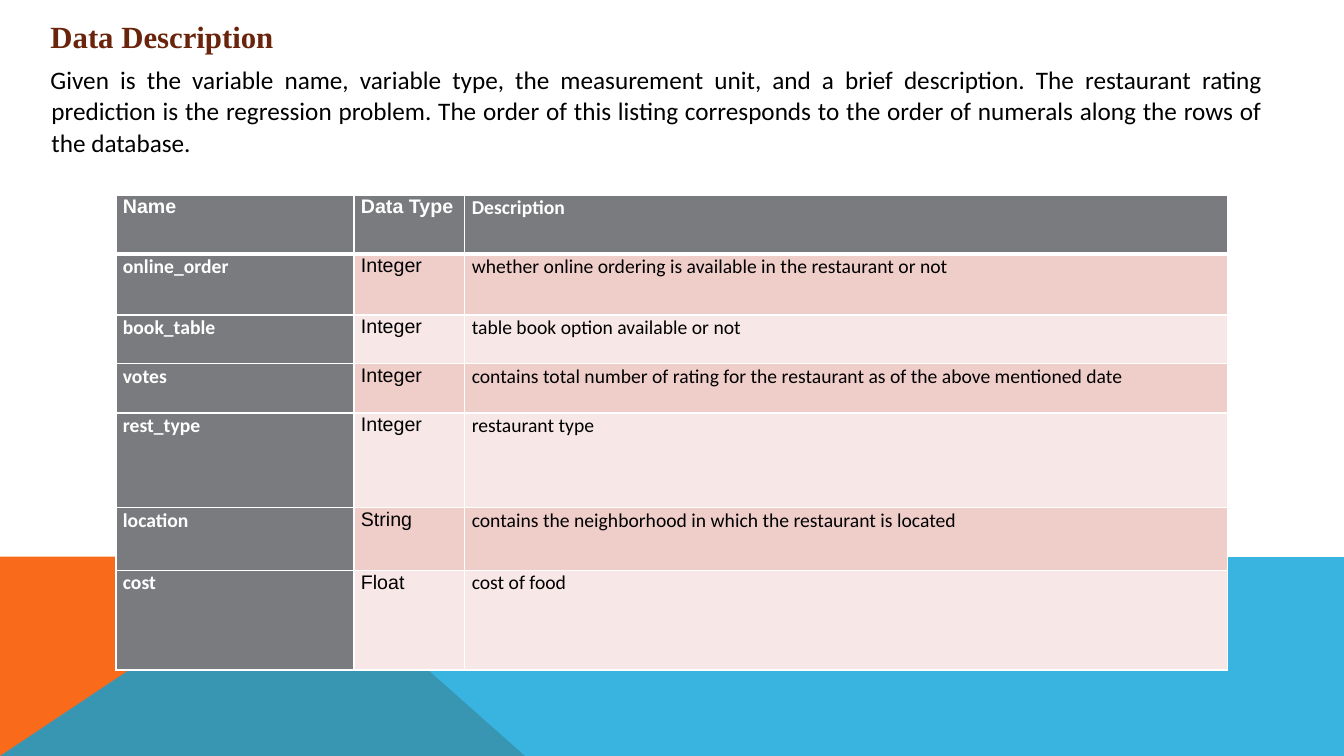
"""Build the Data Description slide with its variable table."""
from lxml import etree
from pptx import Presentation
from pptx.dml.color import RGBColor
from pptx.enum.text import PP_ALIGN
from pptx.oxml.ns import qn
from pptx.util import Pt

JUSTIFY = PP_ALIGN.JUSTIFY
LEFT = PP_ALIGN.LEFT
WHITE, BLACK, GRAY = "FFFFFF", "000000", "797B7E"
BANDS = ["EFCECA", "F7E8E7"]


def color(hex_string):
    return RGBColor.from_string(hex_string)


def write(paragraph, text, size, font, hex_string, bold, alignment):
    paragraph.alignment = alignment
    paragraph.line_spacing = 1.03
    properties = paragraph._p.get_or_add_pPr()
    properties.set("marL", str(Pt(0.7)))
    properties.set("indent", str(Pt(-0.7)))
    run = paragraph.add_run()
    run.text = text
    run.font.size = Pt(size)
    run.font.name = font
    run.font.bold = bold
    run.font.color.rgb = color(hex_string)


presentation = Presentation()
presentation.slide_width = Pt(960)
presentation.slide_height = Pt(540)
slide = presentation.slides.add_slide(presentation.slide_layouts[6])

background_shapes = [
    ("F96A1B", 100, [(0, 540), (0, 397.5), (214.5, 397.5), (375, 540)]),
    ("08A1D9", 80, [(0, 540), (214, 397.5), (960, 398), (960, 540)]),
]
for fill, opacity, points in background_shapes:
    corners = [(Pt(x), Pt(y)) for x, y in points]
    builder = slide.shapes.build_freeform(*corners[0], scale=1.0)
    builder.add_line_segments(corners[1:], close=True)
    shape = builder.convert_to_shape()
    shape.shadow.inherit = False
    shape.line.fill.background()
    shape.fill.solid()
    shape.fill.fore_color.rgb = color(fill)
    if opacity < 100:
        fill_color = shape._element.spPr.find(qn("a:solidFill"))[0]
        etree.SubElement(fill_color, qn("a:alpha"), val=str(opacity * 1000))

rows = [
    ("Name", "Data Type", "Description"),
    ("online_order", "Integer", "whether online ordering is available in the restaurant or not"),
    ("book_table", "Integer", "table book option available or not"),
    ("votes", "Integer", "contains total number of rating for the restaurant as of the above mentioned date"),
    ("rest_type", "Integer", "restaurant type"),
    ("location", "String", "contains the neighborhood in which the restaurant is located"),
    ("cost", "Float", "cost of food"),
]
column_widths = [170, 79.2, 544.8]
row_heights = [41.8, 43.7, 34.8, 35.3, 67.7, 44.9, 71]
table = slide.shapes.add_table(
    len(rows), len(column_widths), Pt(82.8), Pt(139.5), Pt(sum(column_widths)), Pt(sum(row_heights))
).table
for column, width in zip(table.columns, column_widths):
    column.width = Pt(width)
for row, height in zip(table.rows, row_heights):
    row.height = Pt(height)

for row_index, row in enumerate(rows):
    for column_index, text in enumerate(row):
        cell = table.cell(row_index, column_index)
        cell.margin_left = cell.margin_right = Pt(5)
        cell.margin_top = cell.margin_bottom = 0
        heading = row_index == 0 or column_index == 0
        cell.fill.solid()
        cell.fill.fore_color.rgb = color(GRAY if heading else BANDS[(row_index - 1) % 2])
        arial = column_index == 1 or (row_index, column_index) == (0, 0)
        write(cell.text_frame.paragraphs[0], text, 14, "Arial" if arial else "Calibri",
              WHITE if heading else BLACK, heading, JUSTIFY)
        cell_properties = cell._tc.get_or_add_tcPr()
        for position, side in enumerate("LRTB"):
            thick = (row_index, side) in [(0, "B"), (1, "T")]
            border = etree.Element(qn(f"a:ln{side}"), w=str(Pt(3 if thick else 1)))
            border_fill = etree.SubElement(border, qn("a:solidFill"))
            etree.SubElement(border_fill, qn("a:srgbClr"), val=WHITE)
            cell_properties.insert(position, border)

introduction = slide.shapes.add_textbox(Pt(29), Pt(8.6), Pt(880), Pt(107.3)).text_frame
introduction.word_wrap = True
write(introduction.paragraphs[0], "Data Description", 22, "Times New Roman", "69240B", True, LEFT)
body = introduction.add_paragraph()
body.space_before = Pt(6.3)
write(body, "Given is the variable name, variable type, the measurement unit, and a brief description. "
      "The restaurant rating prediction is the regression problem. The order of this listing "
      "corresponds to the order of numerals along the rows of the database.",
      18, "Calibri", BLACK, False, JUSTIFY)

presentation.save("out.pptx")
